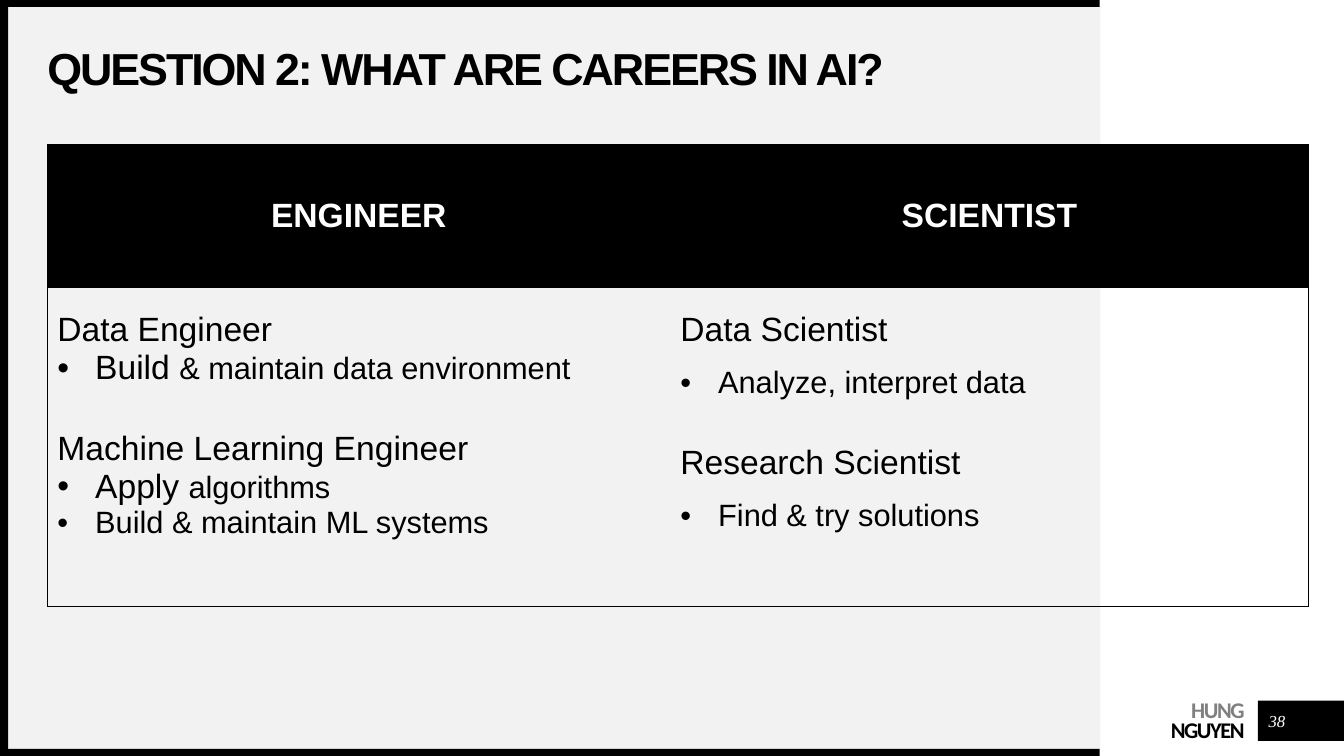
from dataclasses import dataclass

from lxml import etree
from pptx import Presentation
from pptx.dml.color import RGBColor
from pptx.enum.shapes import MSO_SHAPE
from pptx.enum.text import MSO_ANCHOR, PP_ALIGN
from pptx.oxml.ns import qn
from pptx.util import Pt

RECTANGLE = MSO_SHAPE.RECTANGLE
TOP, MIDDLE = MSO_ANCHOR.TOP, MSO_ANCHOR.MIDDLE
LEFT, CENTER, RIGHT = PP_ALIGN.LEFT, PP_ALIGN.CENTER, PP_ALIGN.RIGHT


@dataclass(frozen=True)
class Theme:
    black: RGBColor = RGBColor(0, 0, 0)
    white: RGBColor = RGBColor(255, 255, 255)
    gray: RGBColor = RGBColor(128, 128, 128)
    panel: RGBColor = RGBColor(242, 242, 242)
    sans: str = "Arial"
    signature_font: str = "Calibri"
    number_font: str = "Times New Roman"
    title: int = 32
    heading: int = 24
    detail: int = 22
    signature: int = 16
    number: int = 12
    border: float = 0.5
    indent: int = 27


THEME = Theme()
TITLE_FONT = {"name": THEME.sans, "size": Pt(THEME.title), "bold": True}
HEADING_FONT = {"name": THEME.sans, "size": Pt(THEME.heading), "bold": False}
HEADER_FONT = {**HEADING_FONT, "bold": True}
DETAIL_FONT = {**HEADING_FONT, "size": Pt(THEME.detail)}
SIGNATURE_FONT = {"name": THEME.signature_font, "size": Pt(THEME.signature), "bold": True}
NUMBER_FONT = {"name": THEME.number_font, "size": Pt(THEME.number), "italic": True}

BLOCKS = [  # left, top, width, height, colour
    (5.8, 5, 780, 530, THEME.panel),
    (898.5, 500.4, 61.5, 28.8, THEME.black),
    (0, 535, 785.5, 5, THEME.black),
    (0, 0, 785.5, 5, THEME.black),
    (0, 2.5, 5.8, 537.5, THEME.black),
]
HEADERS = ["ENGINEER", "SCIENTIST"]
# Each career: name, then its duties as (large words, small words)
ENGINEERS = [
    ("Data Engineer", [("Build ", "& maintain data environment")]),
    ("Machine Learning Engineer", [("Apply ", "algorithms"), ("", "Build & maintain ML systems")]),
]
SCIENTISTS = [
    ("Data Scientist", [("", "Analyze, interpret data")]),
    ("Research Scientist", [("", "Find & try solutions")]),
]


def apply(target, settings):
    for name, value in settings.items():
        setattr(target, name, value)


def add_run(para, text, font, color, spacing=0):
    """Append a run; spacing is the gap between letters in points."""
    run = para.add_run()
    run.text = text
    apply(run.font, font)
    run.font.color.rgb = color
    if spacing:
        run.font._element.set("spc", str(round(spacing * 100)))


def add_block(page, left, top, width, height, color):
    block = page.shapes.add_shape(RECTANGLE, Pt(left), Pt(top), Pt(width), Pt(height))
    block.shadow.inherit = False
    block.fill.solid()
    block.fill.fore_color.rgb = color
    block.line.fill.background()


def add_text_box(page, left, top, width, height, anchor, para_format, inset_top=0):
    """Add a text box and return its first paragraph."""
    box = page.shapes.add_textbox(Pt(left), Pt(top), Pt(width), Pt(height))
    frame = box.text_frame
    apply(frame, {"word_wrap": True, "vertical_anchor": anchor, "margin_left": 0,
                  "margin_right": 0, "margin_top": Pt(inset_top), "margin_bottom": 0})
    para = frame.paragraphs[0]
    apply(para, para_format)
    return para


def set_borders(cell, sides):
    """Draw the named sides (from L, R, T, B) and clear the others."""
    properties = cell._tc.get_or_add_tcPr()
    for side in "LRTB":
        line = etree.SubElement(properties, qn(f"a:ln{side}"), w=str(Pt(THEME.border)))
        if side in sides:
            fill = etree.SubElement(line, qn("a:solidFill"))
            etree.SubElement(fill, qn("a:srgbClr"), val=str(THEME.black))
        else:
            etree.SubElement(line, qn("a:noFill"))


def add_bullet(para):
    properties = para._p.get_or_add_pPr()
    properties.set("marL", str(Pt(THEME.indent)))
    properties.set("indent", str(-Pt(THEME.indent)))
    etree.SubElement(properties, qn("a:buFont"), typeface=THEME.sans)
    etree.SubElement(properties, qn("a:buChar"), char="•")


def fill_header(cell, text, sides):
    set_borders(cell, sides)
    cell.fill.solid()
    cell.fill.fore_color.rgb = THEME.black
    cell.vertical_anchor = MIDDLE
    para = cell.text_frame.paragraphs[0]
    para.alignment = CENTER
    add_run(para, text, HEADER_FONT, THEME.white)


def fill_careers(cell, careers, duty_spacing, sides):
    set_borders(cell, sides)
    cell.fill.background()
    cell.vertical_anchor = TOP
    frame = cell.text_frame
    for index, (career, duties) in enumerate(careers):
        para = frame.add_paragraph() if index else frame.paragraphs[0]
        apply(para, {"line_spacing": 1.5, "space_before": Pt(18 if index else 0)})
        add_run(para, career, HEADING_FONT, THEME.black)
        for large, small in duties:
            para = frame.add_paragraph()
            add_bullet(para)
            para.line_spacing = duty_spacing
            if large:
                add_run(para, large, HEADING_FONT, THEME.black)
            add_run(para, small, DETAIL_FONT, THEME.black)


def add_careers_table(page):
    widths, heights = (445, 456), (102.4, 227.6)
    frame = page.shapes.add_table(2, 2, Pt(33.8), Pt(103), Pt(sum(widths)), Pt(sum(heights)))
    table = frame.table
    apply(table, {"first_row": False, "horz_banding": False})
    for column, width in zip(table.columns, widths):
        column.width = Pt(width)
    for row, height in zip(table.rows, heights):
        row.height = Pt(height)
    for index, (header, careers, duty_spacing, side) in enumerate(
            zip(HEADERS, (ENGINEERS, SCIENTISTS), (1.0, 1.5), "LR")):
        fill_header(table.cell(0, index), header, side + "T")
        fill_careers(table.cell(1, index), careers, duty_spacing, side + "TB")


def add_signature(page):
    para = add_text_box(page, 758, 499.7, 131, 31.7, TOP,
                        {"alignment": RIGHT, "line_spacing": Pt(14)}, inset_top=2.9)
    add_run(para, "HUNG", SIGNATURE_FONT, THEME.gray, -1)
    para.add_line_break()
    add_run(para, "NGUYEN", SIGNATURE_FONT, THEME.black, -1)


def main():
    deck = Presentation()
    apply(deck, {"slide_width": Pt(960), "slide_height": Pt(540)})
    page = deck.slides.add_slide(deck.slide_layouts[6])
    for block in BLOCKS:
        add_block(page, *block)
    add_signature(page)
    title = add_text_box(page, 33.8, 33.8, 724, 33.8, MIDDLE,
                         {"alignment": LEFT, "line_spacing": 0.9})
    add_run(title, "QUESTION 2: WHAT ARE CAREERS IN AI?", TITLE_FONT, THEME.black, -1.5)
    number = add_text_box(page, 901.4, 504, 21.6, 21.6, MIDDLE, {"alignment": CENTER})
    add_run(number, "38", NUMBER_FONT, THEME.white)
    add_careers_table(page)
    deck.save("out.pptx")


if __name__ == "__main__":
    main()
